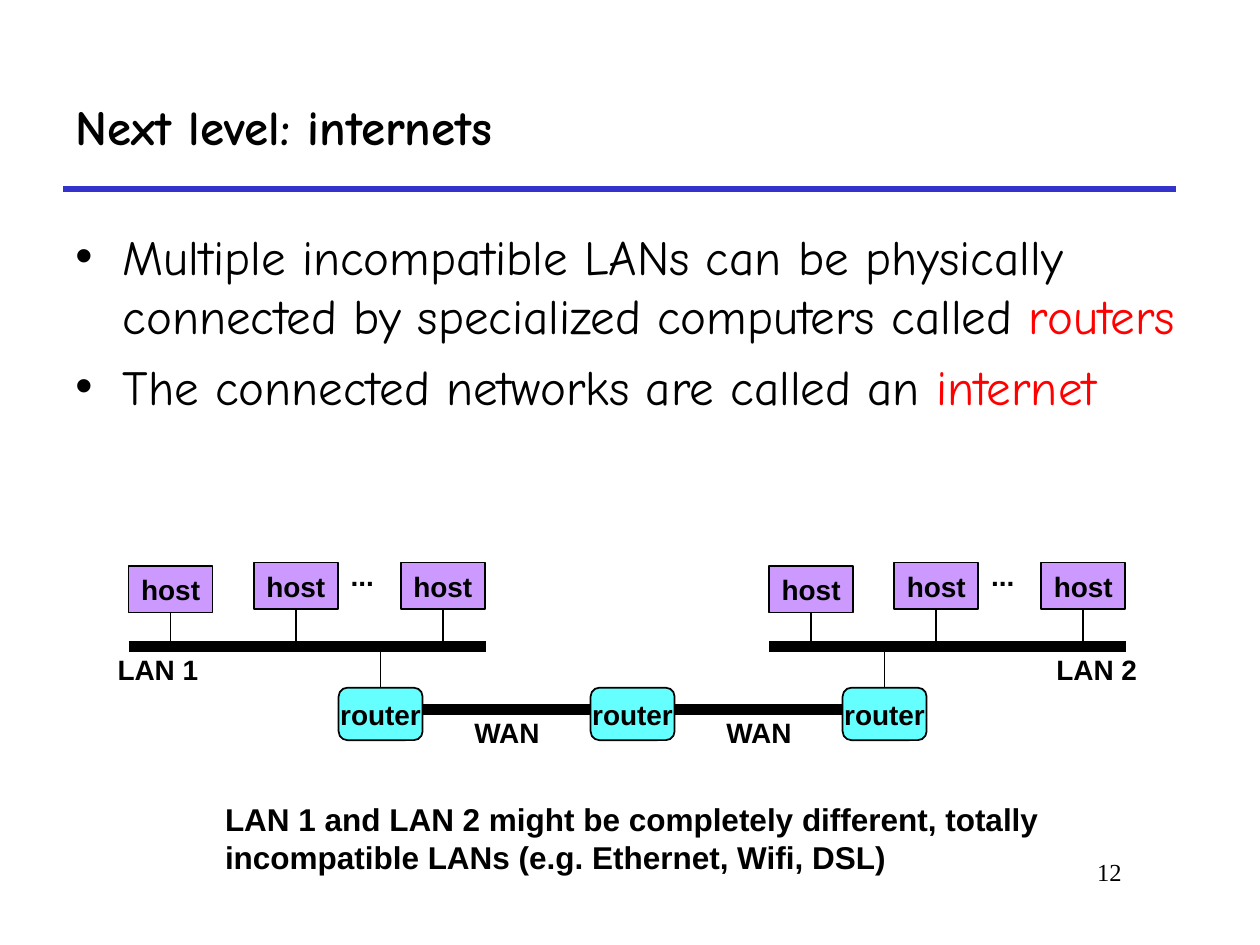
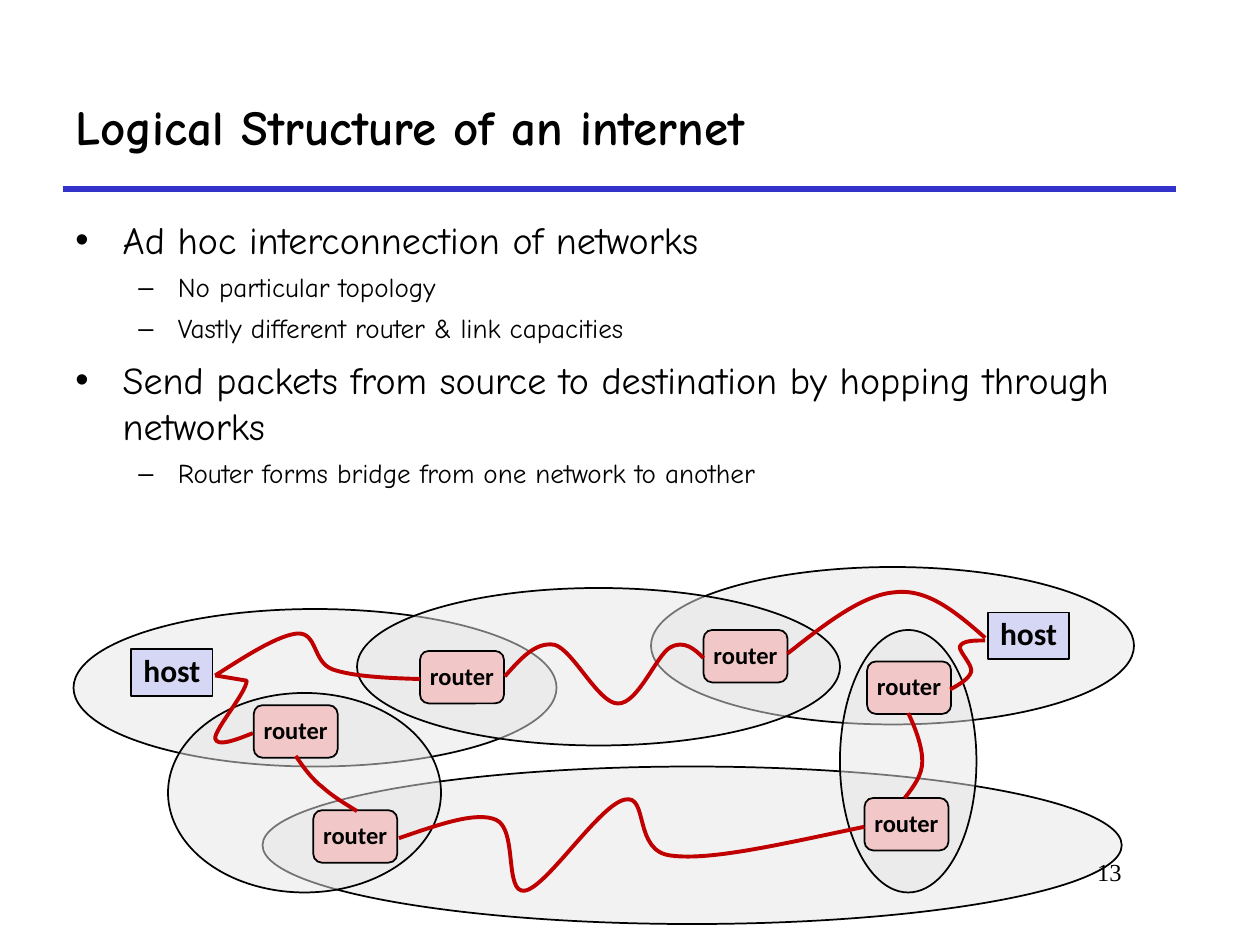
"""Build two slides on how routers join LANs into an internet."""
from lxml.etree import SubElement
from pptx import Presentation
from pptx.dml.color import RGBColor
from pptx.enum.shapes import MSO_CONNECTOR, MSO_SHAPE
from pptx.enum.text import MSO_ANCHOR as Anchor, PP_ALIGN as Align
from pptx.oxml.ns import qn
from pptx.util import Pt

BLACK = RGBColor(0x00, 0x00, 0x00)
RED = RGBColor(0xFF, 0x00, 0x00)
RULE_BLUE = RGBColor(0x33, 0x33, 0xCC)
PURPLE = RGBColor(0xCC, 0x99, 0xFF)
CYAN = RGBColor(0x66, 0xFF, 0xFF)
LAVENDER = RGBColor(0xD6, 0xD6, 0xF5)
PINK = RGBColor(0xF1, 0xC7, 0xC7)
GREY = RGBColor(0xE6, 0xE6, 0xE6)
ROUTE_RED = RGBColor(0xC0, 0x00, 0x00)

TITLE_FONT = "Comic Neue"
LABEL_FONT = "Arial"
NODE_FONT = "Calibri"
NUMBER_FONT = "Times New Roman"

BULLETS = [("•", 27, -27, 7), ("–", 58.5, -22.5, 5)]
HOST_HEIGHT = 26.6
ROUTER_SIZE = (48, 30)
LAN_SPAN = 366
BUS_Y = 369.5

NETWORKS = [
    (42, 348, 276, 90), (150, 438, 491, 90), (372, 324, 276, 90),
    (204, 336, 276, 90), (96, 396, 156, 114), (480, 360, 78, 150),
]
ROUTERS = [(145, 403), (179, 463), (240, 372), (402, 360), (494, 456), (495.5, 378)]
HOSTS = [(564.5, 350), (75, 371)]
ROUTES = [
    [(123, 386), (123, 386), (141, 389), (141, 389), (141, 395.5), (122.5, 417),
     (123, 422), (124, 427), (134.5, 423), (144.5, 419)],
    [(123, 386), (141, 374.5), (159, 363), (170, 362), (181.5, 361.5), (178.5, 378),
     (190, 382.5), (201.5, 386.5), (221, 387.5), (240, 388)],
    [(169, 432), (173.5, 438.5), (178, 445), (184.5, 450), (190, 455),
     (197.5, 459.5), (204, 463.5)],
    [(288.5, 386.5), (297.5, 376.5), (306, 366.5), (317, 368.5), (327.5, 371.5),
     (342, 402), (353, 402), (364.5, 402.5), (375, 374.5), (383, 370),
     (391, 365.5), (397, 371), (402, 376)],
    [(450, 373.5), (471, 357), (492.5, 340), (511, 338.5), (530, 336),
     (546.5, 350), (563, 364.5)],
    [(228, 479), (250, 471.5), (272, 463.5), (283.5, 468.5), (296, 474), (288, 511),
     (300, 509), (312.5, 507), (342.5, 460), (357, 457), (371, 453.5), (361.5, 487),
     (384, 489), (407, 492), (450.5, 481.5), (494, 472.5)],
    [(517, 456), (522, 449.5), (527, 443), (527, 435), (527, 427), (523.5, 417),
     (519, 407.5)],
    [(543, 394), (548.5, 391), (553.5, 388), (555, 384), (556, 380), (548, 372.5),
     (548.5, 369.5), (550, 366), (556.5, 366), (563, 366)],
]


def points(values):
    """Turn plain numbers into lengths in points."""
    return [Pt(value) for value in values]


def add_run(paragraph, text, font_name, size, bold=False, color=BLACK):
    """Append one formatted run."""
    run = paragraph.add_run()
    run.text = text
    run.font.name = font_name
    run.font.size = Pt(size)
    run.font.bold = bold
    run.font.color.rgb = color


def add_text(slide, box, text, font_name, size, bold=True, align=Align.LEFT,
             anchor=Anchor.TOP, wrap=True):
    """Add a text box holding one run."""
    frame = slide.shapes.add_textbox(*points(box)).text_frame
    frame.word_wrap = wrap
    frame.vertical_anchor = anchor
    paragraph = frame.paragraphs[0]
    paragraph.alignment = align
    add_run(paragraph, text, font_name, size, bold)


def add_label(slide, box, text):
    """Add a centred bold label to the network diagram."""
    add_text(slide, box, text, LABEL_FONT, 16, align=Align.CENTER,
             anchor=Anchor.MIDDLE, wrap=False)


def add_line(slide, start, end, color=BLACK, width=1):
    """Add a straight line without a shadow."""
    line = slide.shapes.add_connector(MSO_CONNECTOR.STRAIGHT, *points(start + end))
    line.line.color.rgb = color
    line.line.width = Pt(width)
    SubElement(line._element.spPr, qn("a:effectLst"))
    return line


def add_outlined(slide, kind, box, fill):
    """Add a filled shape with a thin black outline."""
    shape = slide.shapes.add_shape(kind, *points(box))
    shape.shadow.inherit = False
    shape.fill.solid()
    shape.fill.fore_color.rgb = fill
    shape.line.color.rgb = BLACK
    shape.line.width = Pt(1)
    return shape


def add_node(slide, kind, box, fill, text, font_name, size, spacing=1.0):
    """Add a host or router with a centred name."""
    node = add_outlined(slide, kind, box, fill)
    frame = node.text_frame
    frame.word_wrap = False
    frame.vertical_anchor = Anchor.MIDDLE
    paragraph = frame.paragraphs[0]
    paragraph.alignment = Align.CENTER
    paragraph.line_spacing = spacing
    add_run(paragraph, text, font_name, size, True)
    return node


def add_network(slide, box):
    """Add a half-transparent ellipse for one network."""
    ellipse = add_outlined(slide, MSO_SHAPE.OVAL, box, GREY)
    color = ellipse._element.spPr.find(qn("a:solidFill"))[0]
    SubElement(color, qn("a:alpha"), val="50000")


def add_route(slide, route):
    """Add an open curve from a start and triples of Bézier points."""
    start, *rest = [points(point) for point in route]
    builder = slide.shapes.build_freeform(*start)
    builder.add_line_segments(rest, close=False)
    curve = builder.convert_to_shape()
    curve.shadow.inherit = False
    curve.fill.background()
    curve.line.color.rgb = ROUTE_RED
    curve.line.width = Pt(2.25)
    outline = curve._element.find(".//" + qn("a:path"))
    segments = outline.findall(qn("a:lnTo"))
    for first in range(0, len(segments), 3):
        bezier = SubElement(outline, qn("a:cubicBezTo"))
        for segment in segments[first:first + 3]:
            bezier.append(segment[0])
            outline.remove(segment)


def add_bullets(slide, box, items):
    """Add a bulleted list of (level, size, runs) items."""
    frame = slide.shapes.add_textbox(*points(box)).text_frame
    frame.word_wrap = True
    for index, (level, size, runs) in enumerate(items):
        paragraph = frame.add_paragraph() if index else frame.paragraphs[0]
        mark, margin, indent, space = BULLETS[level]
        properties = paragraph._p.get_or_add_pPr()
        properties.set("marL", str(Pt(margin)))
        properties.set("indent", str(Pt(indent)))
        SubElement(properties, qn("a:buFont"), typeface=LABEL_FONT)
        SubElement(properties, qn("a:buChar"), char=mark)
        paragraph.level = level
        if index:
            paragraph.space_before = Pt(space)
        for text, color in runs:
            add_run(paragraph, text, TITLE_FONT, size, color=color)


def add_slide(presentation, title_text):
    """Add a slide with its title and the blue rule."""
    slide = presentation.slides.add_slide(presentation.slide_layouts[5])
    add_line(slide, (36, 108), (672, 108), RULE_BLUE, 3)
    title = slide.shapes.title
    title.left, title.top, title.width, title.height = points((36, 36, 636, 72))
    title.text_frame.vertical_anchor = Anchor.MIDDLE
    paragraph = title.text_frame.paragraphs[0]
    paragraph.alignment = Align.LEFT
    add_run(paragraph, title_text, TITLE_FONT, 28, True)
    return slide


def add_number(slide, number):
    """Add the slide number at the lower right."""
    add_text(slide, (546, 486, 102, 36), str(number), NUMBER_FONT, 14,
             bold=False, align=Align.RIGHT)


def add_lan(slide, offset, name, name_left):
    """Add a bus with three hosts, dots and a name."""
    add_line(slide, (73.5 + offset, BUS_Y), (277.5 + offset, BUS_Y), width=6)
    for left, top in ((73.5, 323.5), (145, 321.5), (229, 321.5)):
        host = add_node(slide, MSO_SHAPE.RECTANGLE,
                        (left + offset, top, 48, HOST_HEIGHT),
                        PURPLE, "host", LABEL_FONT, 16)
        center = left + offset + 24
        drop = add_line(slide, (center, top + HOST_HEIGHT), (center, BUS_Y))
        drop.begin_connect(host, 2)
    add_label(slide, (name_left, BUS_Y - 0.5, 60.5, HOST_HEIGHT), name)
    add_label(slide, (191, 315.5, 32, HOST_HEIGHT) if not offset
              else (191 + offset, 315.5, 32, HOST_HEIGHT), "...")


def add_backbone(slide):
    """Add three routers, their WAN links and their LAN drops."""
    width, height = ROUTER_SIZE
    top, pitch, link_y = 393, 144, 405.5
    lefts = [193.5 + pitch * index for index in range(3)]
    for left in lefts[:-1]:
        add_line(slide, (left + width, link_y), (left + pitch, link_y), width=6)
        add_label(slide, (left + 70, link_y - 0.5, 52.5, HOST_HEIGHT), "WAN")
    for index, left in enumerate(lefts):
        router = add_node(slide, MSO_SHAPE.ROUNDED_RECTANGLE,
                          (left, top, width, height), CYAN, "router", LABEL_FONT, 16)
        if index != 1:
            center = left + width / 2
            add_line(slide, (center, BUS_Y), (center, top)).end_connect(router, 0)


def build_internets(presentation):
    """Build the slide with two LANs joined by routers."""
    slide = add_slide(presentation, "Next level: internets")
    add_bullets(slide, (36, 126, 654, 186), [
        (0, 28, [("Multiple incompatible LANs can be physically connected by "
                  "specialized computers called ", BLACK), ("routers", RED)]),
        (0, 28, [("The connected networks are called an ", BLACK),
                 ("internet", RED)]),
    ])
    add_lan(slide, 0, "LAN 1", 60)
    add_lan(slide, LAN_SPAN, "LAN 2", 596.5)
    add_backbone(slide)
    add_text(slide, (121.5, 453.5, 497, 50.5),
             "LAN 1 and LAN 2 might be completely different, totally "
             "incompatible LANs (e.g. Ethernet, Wifi, DSL)", LABEL_FONT, 18)
    add_number(slide, 12)


def build_structure(presentation):
    """Build the slide with overlapping networks and routes."""
    slide = add_slide(presentation, "Logical Structure of an internet")
    lines = [
        (0, "Ad hoc interconnection of networks"),
        (1, "No particular topology"),
        (1, "Vastly different router & link capacities"),
        (0, "Send packets from source to destination by hopping through networks"),
        (1, "Router forms bridge from one network to another"),
    ]
    sizes = (21.7, 15.5)
    add_bullets(slide, (36, 120, 654.5, 165.5),
                [(level, sizes[level], [(text, BLACK)]) for level, text in lines])
    for network in NETWORKS:
        add_network(slide, network)
    for place in ROUTERS:
        add_node(slide, MSO_SHAPE.ROUNDED_RECTANGLE, place + ROUTER_SIZE,
                 PINK, "router", NODE_FONT, 14, 0.9)
    for place in HOSTS:
        add_node(slide, MSO_SHAPE.RECTANGLE, place + (46.5, HOST_HEIGHT),
                 LAVENDER, "host", NODE_FONT, 18, 0.9)
    for route in ROUTES:
        add_route(slide, route)
    add_number(slide, 13)


def main():
    """Build and save the presentation."""
    presentation = Presentation()
    presentation.slide_width, presentation.slide_height = Pt(720), Pt(540)
    build_internets(presentation)
    build_structure(presentation)
    presentation.save("out.pptx")


if __name__ == "__main__":
    main()
